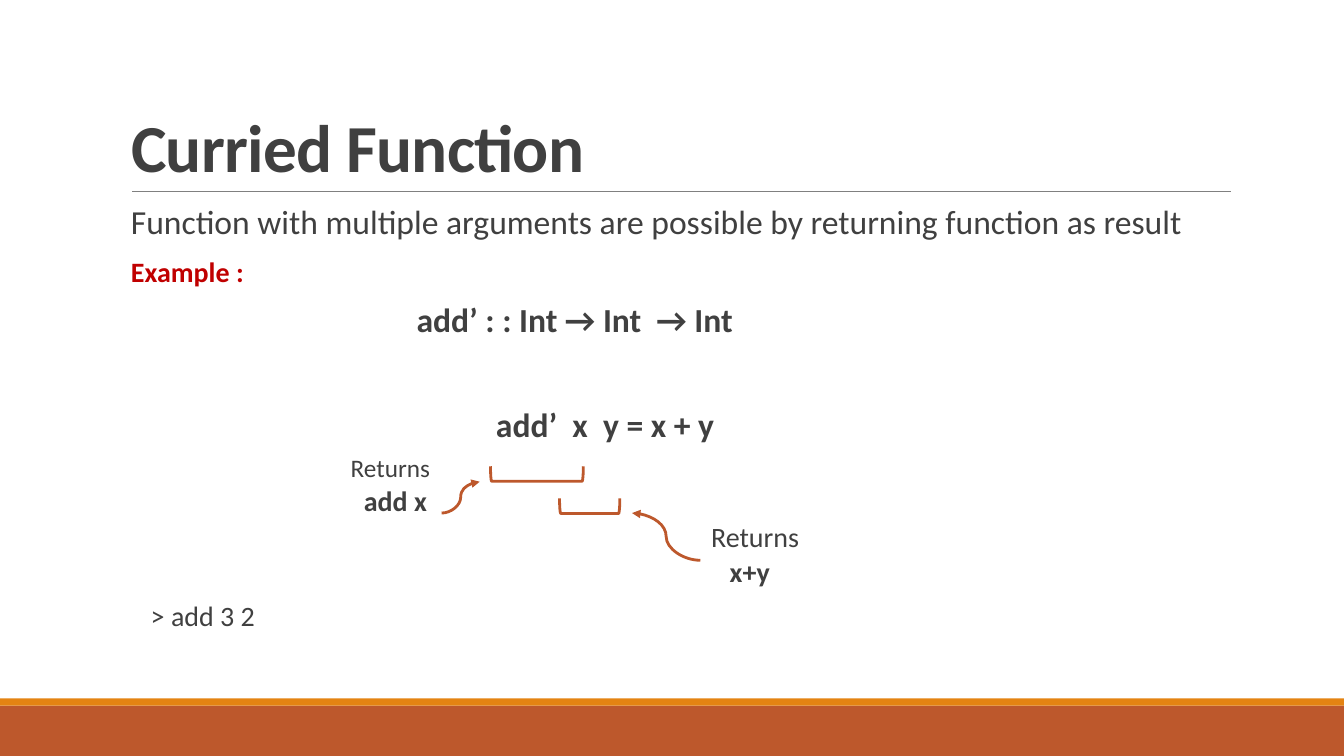
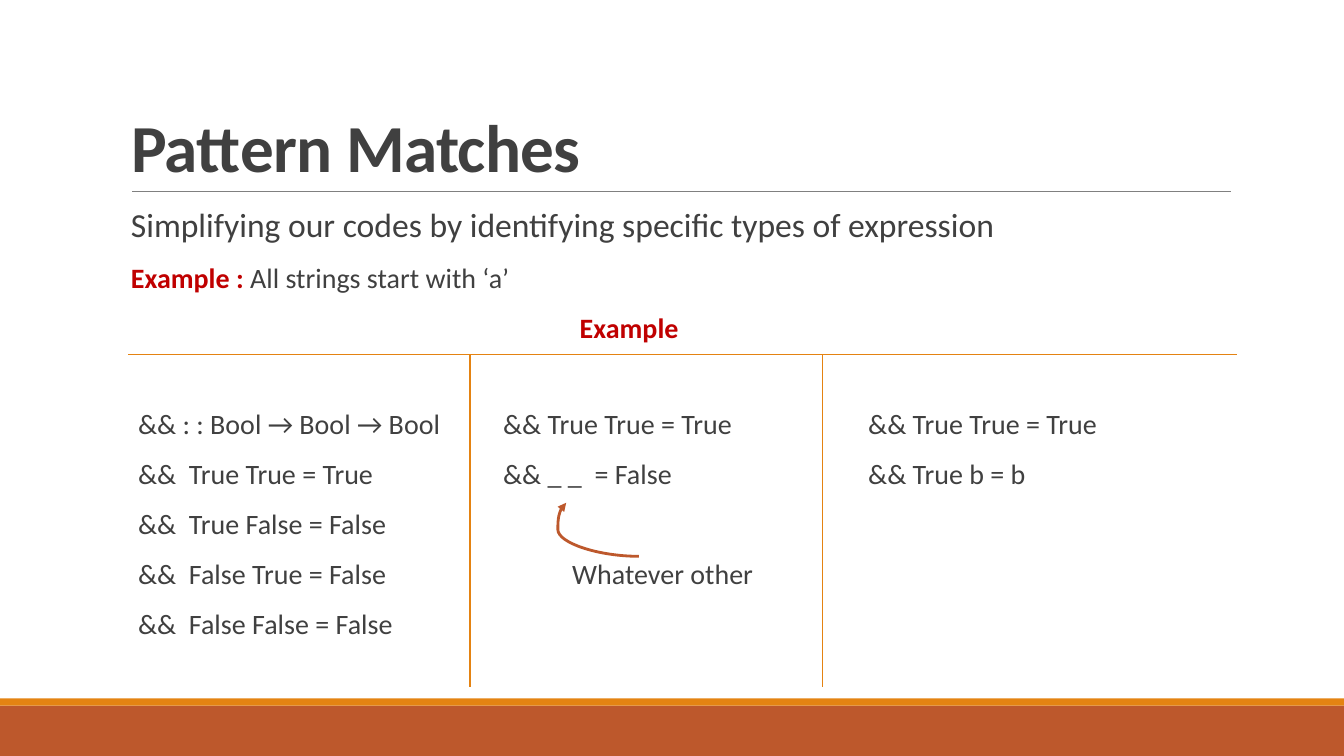
from dataclasses import dataclass

from lxml.etree import SubElement
from pptx import Presentation
from pptx.dml.color import RGBColor
from pptx.enum.shapes import MSO_CONNECTOR, MSO_SHAPE
from pptx.enum.text import MSO_ANCHOR, MSO_AUTO_SIZE
from pptx.oxml.ns import qn
from pptx.util import Cm, Pt


@dataclass(frozen=True)
class Theme:
    font: str = "Calibri"
    ink: str = "404040"
    accent: str = "C00000"
    rust: str = "BD582C"
    orange: str = "E48312"
    rule: str = "808080"
    title: int = 48
    lead: int = 24
    body: int = 20
    small: int = 18


THEME = Theme()
WIDTH, HEIGHT = 33.87, 19.05
LEFT, TEXT_WIDTH, BODY_TOP = 3.3, 27.69, 5.26


@dataclass(frozen=True)
class Line:
    """One paragraph; label is its red bold opening, indent is in cm."""
    text: str = ""
    label: str = ""
    size: int = THEME.body
    bold: bool = False
    indent: float = 0
    before: float = 12
    after: float = 2


CURRIED_LINES = [
    Line("Function with multiple arguments are possible by returning function as result",
         size=THEME.lead),
    Line(label="Example :"),
    Line("add’ : : Int → Int  → Int", size=THEME.lead, bold=True, indent=7.2),
    Line("add’  x  y = x + y", size=THEME.lead, bold=True, indent=9.2, before=49.5),
    Line("Returns", size=THEME.small, indent=5.54, before=8, after=0),
    Line("add x", bold=True, indent=5.87, before=6, after=0),
    Line("Returns", indent=14.62, before=6, after=0),
    Line("x+y", bold=True, indent=15.09, before=6, after=0),
    Line("> add 3 2", indent=0.5),
]
# left, top, width
BRACKETS = [(12.36, 11.75, 2.34), (14.1, 12.56, 1.52)]
BRACKET_DEPTH = 0.38
# start, end
CURRIED_ARROWS = [((11.13, 12.93), (12.09, 12.14)), ((17.65, 14.12), (15.93, 12.93))]

PATTERN_LINES = [
    Line("Simplifying our codes by identifying specific types of expression",
         size=THEME.lead),
    Line("All strings start with ‘a’", label="Example : "),
    Line(label="Example", indent=11.31),
]
PATTERN_COLUMNS = [
    [Line("&& : : Bool → Bool → Bool"),
     Line("&&  True True = True"),
     Line("&&  True False = False"),
     Line("&&  False True = False"),
     Line("&&  False False = False")],
    [Line("&& True True = True"),
     Line("&& _ _  = False"),
     Line("Whatever other", indent=1.74, before=48)],
    [Line("&& True True = True"),
     Line("&& True b = b")],
]
COLUMN_LEFT, COLUMN_TOP, COLUMN_PITCH, COLUMN_WIDTH = 3.48, 10.35, 9.2, 8.3
GRID_LEFT, GRID_RIGHT, GRID_TOP, GRID_BOTTOM = 3.23, 31.17, 8.94, 17.3
DIVIDERS = [11.84, 20.73]
PATTERN_ARROW = ((16.1, 14.02), (14.27, 12.67))
PATTERN_ARROW_BEND = 111500


def rgb(value):
    return RGBColor.from_string(value)


def format_run(run, size, color, bold):
    run.font.name = THEME.font
    run.font.size = Pt(size)
    run.font.bold = bold
    run.font.color.rgb = rgb(color)


def add_lines(slide, lines, left, top, width, spacing):
    frame = slide.shapes.add_textbox(Cm(left), Cm(top), Cm(width), Cm(len(lines))).text_frame
    frame.word_wrap = True
    frame.margin_left = frame.margin_right = frame.margin_top = frame.margin_bottom = 0
    for number, line in enumerate(lines):
        paragraph = frame.add_paragraph() if number else frame.paragraphs[0]
        paragraph.line_spacing = spacing
        paragraph.space_before = Pt(line.before)
        paragraph.space_after = Pt(line.after)
        paragraph._p.get_or_add_pPr().set("marL", str(Cm(line.indent)))
        for text, color, bold in ((line.label, THEME.accent, True),
                                  (line.text, THEME.ink, line.bold)):
            if text:
                run = paragraph.add_run()
                run.text = text
                format_run(run, line.size, color, bold)


def add_line(slide, start, end, color, weight, kind=MSO_CONNECTOR.STRAIGHT):
    connector = slide.shapes.add_connector(kind, *map(Cm, (*start, *end)))
    connector.line.color.rgb = rgb(color)
    connector.line.width = Pt(weight)
    SubElement(connector.element.spPr, qn("a:effectLst"))
    return connector


def add_curved_arrow(slide, start, end, bend=None):
    arrow = add_line(slide, start, end, THEME.rust, 2, MSO_CONNECTOR.CURVE)
    SubElement(arrow.line._get_or_add_ln(), qn("a:tailEnd"), type="triangle")
    if bend:
        adjustments = arrow.element.spPr.find(qn("a:prstGeom")).find(qn("a:avLst"))
        SubElement(adjustments, qn("a:gd"), name="adj1", fmla=f"val {bend}")


def add_bracket(slide, left, top, width):
    """Draw a bracket that opens upwards: a right bracket turned by 90 degrees."""
    bracket = slide.shapes.add_shape(
        MSO_SHAPE.RIGHT_BRACKET,
        Cm(left + (width - BRACKET_DEPTH) / 2), Cm(top + (BRACKET_DEPTH - width) / 2),
        Cm(BRACKET_DEPTH), Cm(width))
    bracket.rotation = 90
    bracket.shadow.inherit = False
    bracket.fill.background()
    bracket.line.color.rgb = rgb(THEME.rust)
    bracket.line.width = Pt(2)


def add_band(slide, top, height, color):
    band = slide.shapes.add_shape(MSO_SHAPE.RECTANGLE, 0, Cm(top), Cm(WIDTH), Cm(height))
    band.shadow.inherit = False
    band.fill.solid()
    band.fill.fore_color.rgb = rgb(color)
    band.line.fill.background()
    return band


def dress_layout(layout, slide):
    """Give the layout its title place, bands and rule, drawn on slide and moved over."""
    title = layout.placeholders[0]
    title.left, title.top, title.width, title.height = map(Cm, (3.05, 0.79, 27.94, 4.04))
    decorations = [
        add_band(slide, 17.78, 1.27, THEME.rust),
        add_band(slide, 17.6, 0.18, THEME.orange),
        add_line(slide, (3.33, 4.83), (31.01, 4.83), THEME.rule, 0.5),
    ]
    for decoration in decorations:
        layout.shapes.element.append(decoration.element)


def set_title(slide, text):
    frame = slide.shapes.title.text_frame
    frame.text = text
    frame.vertical_anchor = MSO_ANCHOR.BOTTOM
    frame.auto_size = MSO_AUTO_SIZE.NONE
    paragraph = frame.paragraphs[0]
    paragraph.line_spacing = 0.85
    paragraph._p.get_or_add_pPr().set("algn", "l")
    run = paragraph.runs[0]
    format_run(run, THEME.title, THEME.ink, True)
    run.font._element.set("spc", "-50")


def build_curried(slide):
    set_title(slide, "Curried Function")
    add_lines(slide, CURRIED_LINES, LEFT, BODY_TOP, TEXT_WIDTH, 0.8)
    for bracket in BRACKETS:
        add_bracket(slide, *bracket)
    for start, end in CURRIED_ARROWS:
        add_curved_arrow(slide, start, end)


def build_patterns(slide):
    set_title(slide, "Pattern Matches")
    add_lines(slide, PATTERN_LINES, LEFT, BODY_TOP, TEXT_WIDTH, 0.9)
    for number, lines in enumerate(PATTERN_COLUMNS):
        add_lines(slide, lines, COLUMN_LEFT + number * COLUMN_PITCH, COLUMN_TOP,
                  COLUMN_WIDTH, 0.9)
    add_curved_arrow(slide, *PATTERN_ARROW, PATTERN_ARROW_BEND)
    add_line(slide, (GRID_LEFT, GRID_TOP), (GRID_RIGHT, GRID_TOP), THEME.orange, 1)
    for x in DIVIDERS:
        add_line(slide, (x, GRID_TOP), (x, GRID_BOTTOM), THEME.orange, 1)


def main():
    deck = Presentation()
    deck.slide_width, deck.slide_height = Cm(WIDTH), Cm(HEIGHT)
    layout = deck.slide_layouts[5]
    curried, patterns = (deck.slides.add_slide(layout) for _ in range(2))
    dress_layout(layout, curried)
    build_curried(curried)
    build_patterns(patterns)
    deck.save("out.pptx")


if __name__ == "__main__":
    main()
